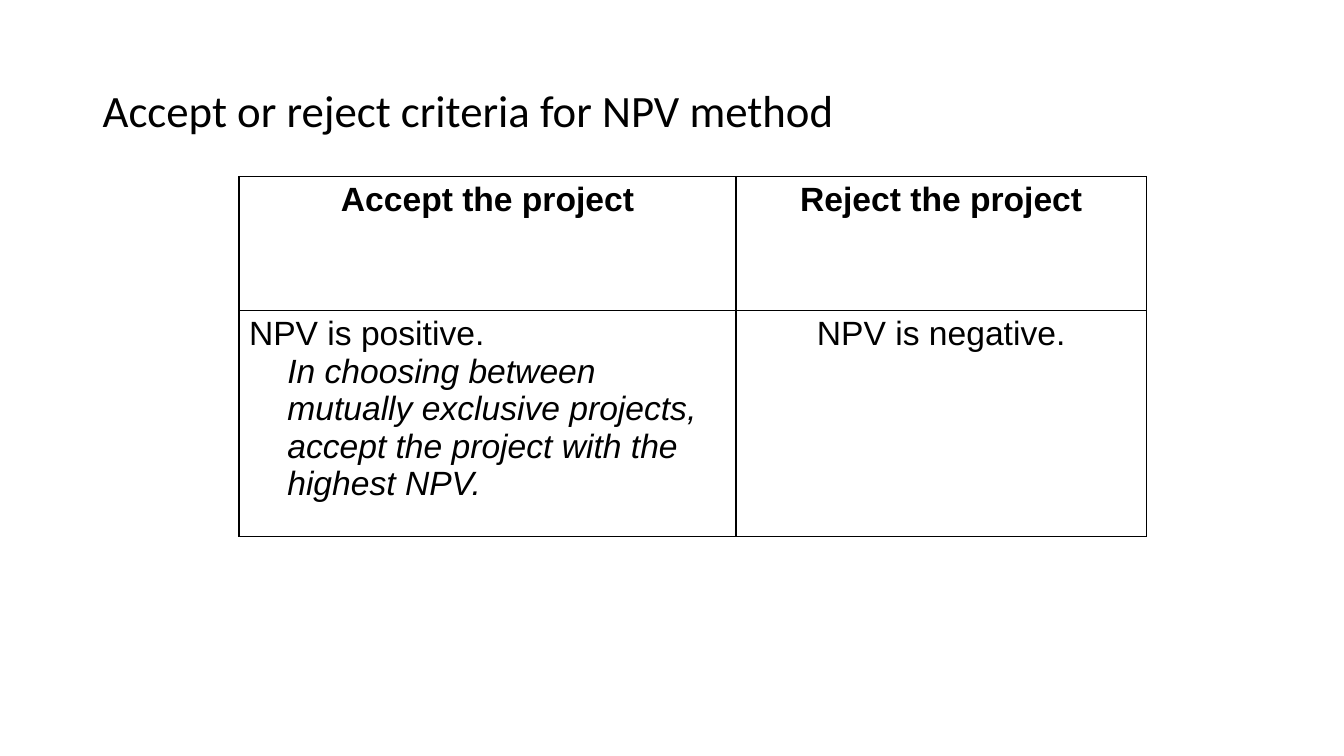
from dataclasses import dataclass

from lxml import etree
from pptx import Presentation
from pptx import util as u
from pptx.dml.color import RGBColor
from pptx.enum import text
from pptx.oxml import ns

PX = u.Inches(1) // 100
BLACK = RGBColor(0, 0, 0)
WHITE = RGBColor(255, 255, 255)
LEFT, MID = text.PP_ALIGN.LEFT, text.PP_ALIGN.CENTER
WIDTHS = (493, 407)
HEIGHTS = (133, 224)


@dataclass
class Line:
    """One paragraph of a table cell."""
    words: str
    align: text.PP_ALIGN = MID
    bold: bool = False
    slant: bool = False
    inset: int = 0


CELLS = (
    ((Line("Accept the project", bold=True),),
     (Line("Reject the project", bold=True),)),
    ((Line("NPV is positive.", LEFT),
      Line("In choosing between mutually exclusive projects, "
           "accept the project with the highest NPV.",
           LEFT, slant=True, inset=38)),
     (Line("NPV is negative."),)),
)


def write(para, words: str, *, size: int = 24, font: str = "Arial",
          align: text.PP_ALIGN = LEFT, bold: bool = False,
          slant: bool = False, inset: int = 0, space: float = 1.0) -> None:
    """Fill one paragraph with formatted text."""
    para.alignment = align
    para.line_spacing = space
    if inset:
        para._p.get_or_add_pPr().set("marL", str(inset * PX))
    run = para.add_run()
    run.text = words
    run.font.name = font
    run.font.size = u.Pt(size)
    run.font.bold = bold
    run.font.italic = slant
    run.font.color.rgb = BLACK


def edge(cell) -> None:
    """Draw a thin black border on all sides of a cell."""
    props = cell._tc.get_or_add_tcPr()
    for spot, side in enumerate(("lnL", "lnR", "lnT", "lnB")):
        line = etree.Element(ns.qn(f"a:{side}"), w=str(u.Pt(1)))
        fill = etree.SubElement(line, ns.qn("a:solidFill"))
        etree.SubElement(fill, ns.qn("a:srgbClr"), val=str(BLACK))
        props.insert(spot, line)


def fill_cell(cell, lines: tuple[Line, ...]) -> None:
    """Write the lines of a cell and style it."""
    cell.fill.solid()
    cell.fill.fore_color.rgb = WHITE
    edge(cell)
    frame = cell.text_frame
    for i, line in enumerate(lines):
        para = frame.add_paragraph() if i else frame.paragraphs[0]
        write(para, line.words, align=line.align, bold=line.bold,
              slant=line.slant, inset=line.inset)


def add_title(slide) -> None:
    """Add the slide heading."""
    box = slide.shapes.add_textbox(92 * PX, 40 * PX, 1150 * PX, 145 * PX)
    frame = box.text_frame
    frame.word_wrap = True
    frame.vertical_anchor = text.MSO_ANCHOR.MIDDLE
    write(frame.paragraphs[0], "Accept or reject criteria for NPV method",
          size=32, font="Calibri", space=0.9)


def add_grid(slide) -> None:
    """Add the table of criteria."""
    grid = slide.shapes.add_table(
        len(HEIGHTS), len(WIDTHS), 237 * PX, 175 * PX,
        sum(WIDTHS) * PX, sum(HEIGHTS) * PX).table
    grid.first_row = grid.horz_banding = False
    for col, width in zip(grid.columns, WIDTHS):
        col.width = width * PX
    for row, height, cells in zip(grid.rows, HEIGHTS, CELLS):
        row.height = height * PX
        for cell, lines in zip(row.cells, cells):
            fill_cell(cell, lines)


def main() -> None:
    """Build and save the slide."""
    deck = Presentation()
    deck.slide_width, deck.slide_height = 1333 * PX, 750 * PX
    slide = deck.slides.add_slide(deck.slide_layouts[6])
    add_title(slide)
    add_grid(slide)
    deck.save("out.pptx")


if __name__ == "__main__":
    main()
